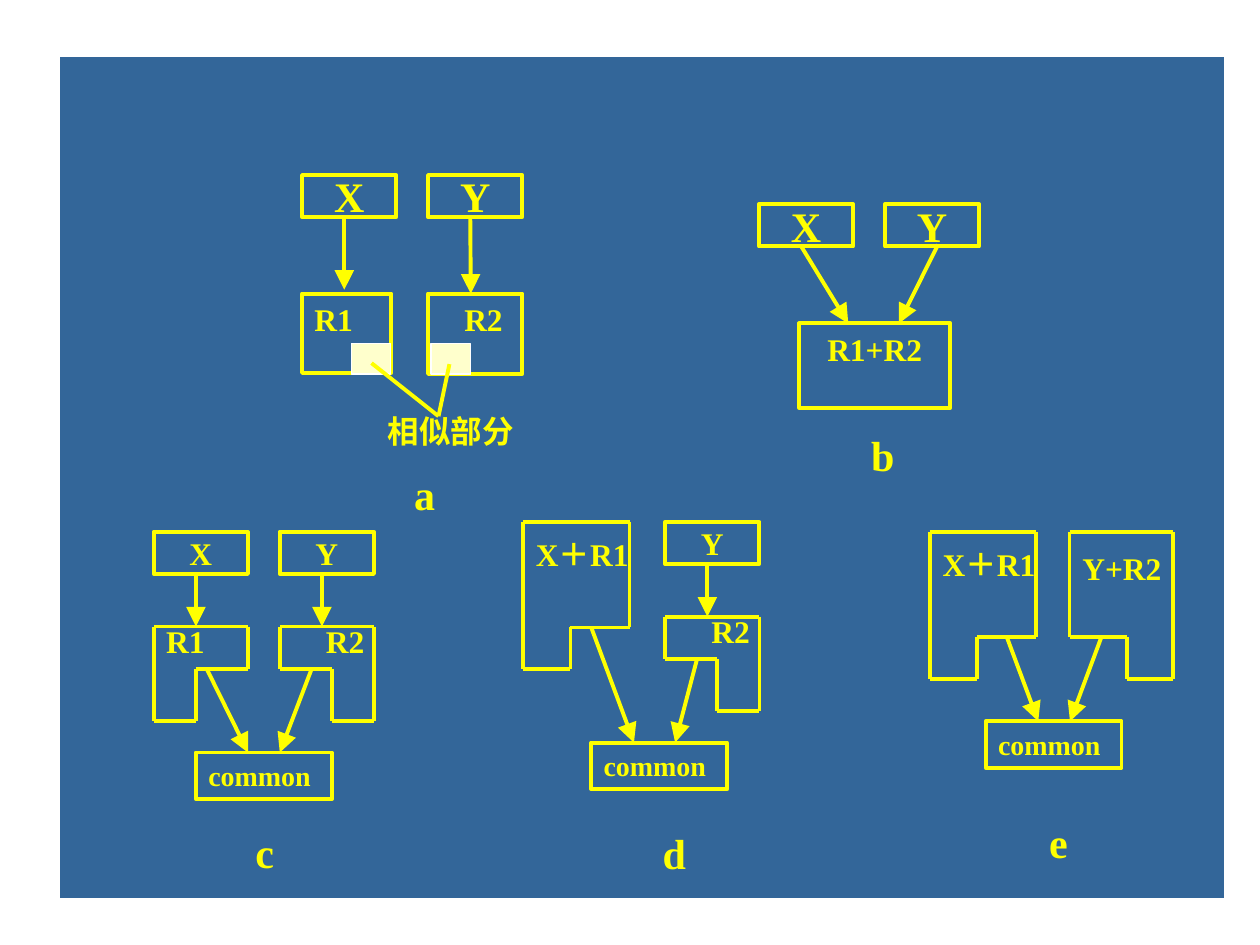
from dataclasses import dataclass

from lxml import etree
from pptx import Presentation
from pptx.dml.color import RGBColor
from pptx.enum.shapes import MSO_CONNECTOR, MSO_SHAPE
from pptx.enum.text import MSO_ANCHOR, PP_ALIGN
from pptx.oxml.ns import qn
from pptx.util import Cm, Pt

RECTANGLE = MSO_SHAPE.RECTANGLE
STRAIGHT = MSO_CONNECTOR.STRAIGHT
TOP, MIDDLE = MSO_ANCHOR.TOP, MSO_ANCHOR.MIDDLE
LEFT, CENTER = PP_ALIGN.LEFT, PP_ALIGN.CENTER


@dataclass(frozen=True)
class Theme:
    font: str = "Times New Roman"
    ink: RGBColor = RGBColor(0xFF, 0xFF, 0x00)
    board: RGBColor = RGBColor(0x33, 0x66, 0x99)
    similar: RGBColor = RGBColor(0xFF, 0xFF, 0xCC)
    border: RGBColor = RGBColor(0xFF, 0xFF, 0xFF)
    large: int = 24
    normal: int = 18
    small: int = 16
    stroke: float = 2.25


THEME = Theme()
NODE_WIDTH, NODE_HEIGHT = 1.9, 0.85
COLUMN_STEP = 2.54
INSET = 0.25


def write(shape, text, size, align=LEFT, anchor=TOP, indent=0):
    frame = shape.text_frame
    frame.word_wrap = True
    frame.vertical_anchor = anchor
    frame.margin_left = Cm(INSET + indent)
    frame.margin_right = Cm(INSET)
    frame.margin_top = frame.margin_bottom = Cm(INSET / 2)
    paragraph = frame.paragraphs[0]
    paragraph.text = text
    paragraph.alignment = align
    paragraph.font.name = THEME.font
    paragraph.font.size = Pt(size)
    paragraph.font.bold = True
    paragraph.font.color.rgb = THEME.ink


def filled_rectangle(slide, left, top, width, height, color, line_width):
    shape = slide.shapes.add_shape(RECTANGLE, Cm(left), Cm(top), Cm(width), Cm(height))
    shape.shadow.inherit = False
    shape.fill.solid()
    shape.fill.fore_color.rgb = color
    shape.line.color.rgb = THEME.border
    shape.line.width = Pt(line_width)


@dataclass
class Panel:
    slide: object
    left: float
    top: float

    def place(self, x, y):
        return Cm(self.left + x), Cm(self.top + y)

    def box(self, x, y, width, height, text, size=THEME.normal, **layout):
        shape = self.slide.shapes.add_shape(
            RECTANGLE, *self.place(x, y), Cm(width), Cm(height))
        shape.shadow.inherit = False
        shape.fill.background()
        shape.line.color.rgb = THEME.ink
        shape.line.width = Pt(THEME.stroke)
        write(shape, text, size, **layout)

    def node(self, x, text, size):
        self.box(x, 0, NODE_WIDTH, NODE_HEIGHT, text, size, align=CENTER, anchor=MIDDLE)

    def text(self, x, y, width, height, text, size=THEME.normal, **layout):
        shape = self.slide.shapes.add_textbox(
            *self.place(x, y), Cm(width), Cm(height))
        write(shape, text, size, **layout)

    def label(self, x, y, text):
        self.text(x, y, 0.9, 1.27, text, THEME.large)

    def line(self, start, end, arrow=False):
        connector = self.slide.shapes.add_connector(
            STRAIGHT, *self.place(*start), *self.place(*end))
        connector.line.color.rgb = THEME.ink
        connector.line.width = Pt(THEME.stroke)
        if arrow:
            etree.SubElement(connector.line._get_or_add_ln(), qn("a:tailEnd"),
                             type="triangle", w="lg", len="lg")
        etree.SubElement(connector._element.spPr, qn("a:effectLst"))

    def arrow(self, start, end):
        self.line(start, end, arrow=True)

    def notched(self, x, y, width, height, ledge, stem, mirrored=False):
        corners = [(0, 0), (width, 0), (width, ledge), (stem, ledge),
                   (stem, height), (0, height)]
        if mirrored:
            corners = [(width - across, down) for across, down in corners]
        points = [(x + across, y + down) for across, down in corners]
        for start, end in zip(points, points[1:] + points[:1]):
            self.line(min(start, end), max(start, end))

    def common(self, x, y):
        self.box(x, y, 2.74, 0.94, "common", THEME.small)

    def node_over_rest(self, x, node, rest, mirrored=False):
        self.node(x, node, THEME.normal)
        self.notched(x, 1.91, 1.9, 1.9, 0.85, 1.06 - 0.21, mirrored)
        offset, indent = (-0.43, 1.11) if mirrored else (0, 0)
        self.text(x + offset, 1.7, 2.54, 1.02, rest, indent=indent)
        self.arrow((x + 0.85, 0.86), (x + 0.85, 1.91))

    def merged_x(self):
        self.notched(0, 0, 2.15, 2.97, 2.13, 0.96)
        self.text(-0.24, 0.23, 2.88, 0.84, "X＋R1", align=CENTER, anchor=MIDDLE)


def similar_parts(slide, left, top):
    panel = Panel(slide, left, top)
    panel.node(0, "X", THEME.large)
    panel.node(COLUMN_STEP, "Y", THEME.large)
    panel.box(0, 2.39, 1.8, 1.6, "R1")
    panel.box(COLUMN_STEP, 2.39, 1.9, 1.62, "R2", indent=0.48)
    panel.arrow((0.85, 0.85), (0.85, 2.31))
    panel.arrow((3.39, 0.85), (3.4, 2.39))
    panel.text(1.48, 4.65, 3.18, 1.02, "相似部分")
    for x in (0.99, 2.6):
        filled_rectangle(slide, left + x, top + 3.4, 0.79, 0.61, THEME.similar, 0.75)
    for start in ((1.4, 3.79), (2.97, 3.81)):
        panel.line(start, (2.75, 4.86))
    panel.label(2.01, 5.8, "a")


def full_merge(slide, left, top):
    panel = Panel(slide, left, top)
    panel.node(0, "X", THEME.large)
    panel.node(COLUMN_STEP, "Y", THEME.large)
    panel.box(0.81, 2.4, 3.05, 1.7, "R1+R2", align=CENTER)
    panel.arrow((0.86, 0.86), (1.8, 2.4))
    panel.arrow((3.61, 0.81), (2.82, 2.4))
    panel.label(2.01, 4.41, "b")


def common_extracted(slide, left, top):
    panel = Panel(slide, left, top)
    panel.node_over_rest(0, "X", "R1")
    panel.node_over_rest(COLUMN_STEP, "Y", "R2", mirrored=True)
    panel.common(0.85, 4.45)
    panel.arrow((1.07, 2.77), (1.9, 4.45))
    panel.arrow((3.18, 2.77), (2.54, 4.45))
    panel.label(1.8, 5.82, "c")


def one_side_merged(slide, left, top):
    panel = Panel(slide, left, top)
    panel.merged_x()
    panel.node_over_rest(2.87, "Y", "R2", mirrored=True)
    panel.common(1.38, 4.45)
    panel.arrow((1.38, 2.13), (2.24, 4.45))
    panel.arrow((3.51, 2.77), (3.07, 4.45))
    panel.label(2.57, 6.04, "d")


def both_sides_merged(slide, left, top):
    panel = Panel(slide, left, top)
    panel.merged_x()
    panel.notched(2.82, 0, 2.08, 2.97, 2.13, 0.92, mirrored=True)
    panel.text(2.83, 0.23, 2.51, 1.02, "Y+R2")
    panel.common(1.13, 3.82)
    panel.arrow((1.56, 2.13), (2.19, 3.82))
    panel.arrow((3.46, 2.13), (2.83, 3.82))
    panel.label(2.16, 5.61, "e")


def main():
    presentation = Presentation()
    presentation.slide_width, presentation.slide_height = Cm(25.4), Cm(19.05)
    slide = presentation.slides.add_slide(presentation.slide_layouts[6])
    filled_rectangle(slide, 1.19, 1.13, 23.5, 16.99, THEME.board, 1)
    similar_parts(slide, 6.09, 3.53)
    full_merge(slide, 15.3, 4.12)
    common_extracted(slide, 3.1, 10.72)
    one_side_merged(slide, 10.54, 10.52)
    both_sides_merged(slide, 18.74, 10.72)
    presentation.save("out.pptx")


if __name__ == "__main__":
    main()
